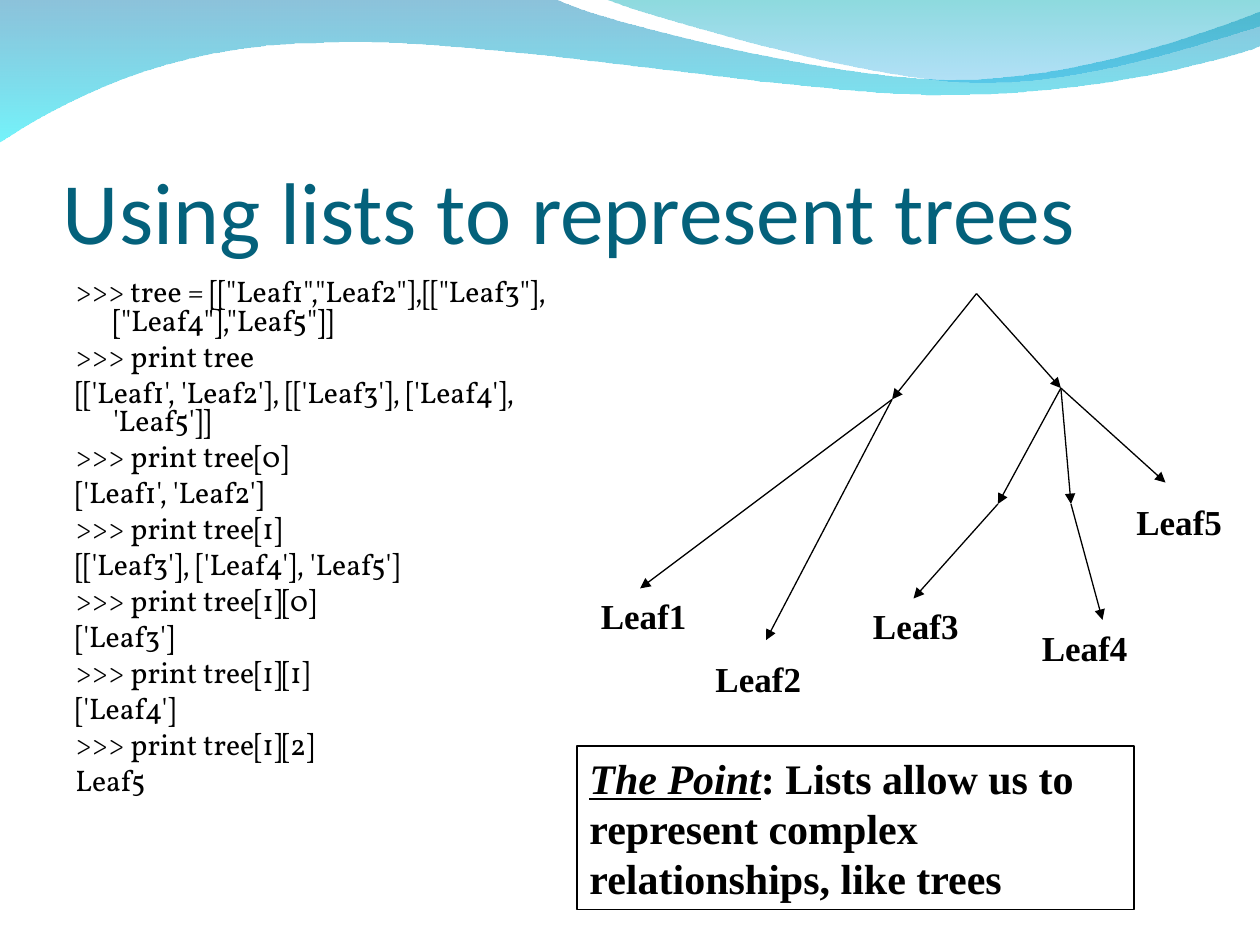
from lxml import etree
from pptx import Presentation
from pptx.dml.color import RGBColor
from pptx.enum.shapes import MSO_CONNECTOR, MSO_SHAPE
from pptx.enum.text import MSO_ANCHOR, PP_ALIGN
from pptx.oxml.ns import qn
from pptx.util import Inches, Pt

STRAIGHT = MSO_CONNECTOR.STRAIGHT
RECTANGLE = MSO_SHAPE.RECTANGLE
TOP, BOTTOM = MSO_ANCHOR.TOP, MSO_ANCHOR.BOTTOM
LEFT = PP_ALIGN.LEFT
COLORS = {
    "title": "04617B",
    "ink": "000000",
    "wave_blue": "0079AF",
    "wave_cyan": "00EBF8",
    "crest_teal": "00ADB6",
    "crest_blue": "009BE5",
}


def color(name):
    return RGBColor.from_string(COLORS[name])


def add_span(para, text, font, size, ink="ink", bold=False):
    span = para.add_run()
    span.text = text
    span.font.name = font
    span.font.size = Pt(size)
    span.font.bold = bold
    span.font.color.rgb = color(ink)
    return span


deck = Presentation()
deck.slide_width, deck.slide_height = Inches(10), Inches(7.5)
page = deck.slides.add_slide(deck.slide_layouts[6])

waves = [
    ([[(0, -0.01)],
      [(4.4, -0.01)],
      [(4.76, 0.17), (6.64, 0.63), (7.58, 0.63)],
      [(8.53, 0.63), (9.58, 0.26), (10, 0.09)],
      [(10.01, 0.36)],
      [(9.83, 0.44), (8.7, 0.76), (7.46, 0.75)],
      [(6.22, 0.75), (3.82, 0.28), (2.57, 0.34)],
      [(1.29, 0.35), (0.46, 0.83), (-0.01, 1.13)]],
     [("wave_blue", 45), ("wave_cyan", 55)]),
    ([[(4.79, -0.01)],
      [(5.09, 0.11), (6.82, 0.62), (7.69, 0.65)],
      [(8.56, 0.69), (9.61, 0.32), (10, 0.21)],
      [(10, 0)]],
     [("crest_teal", 45), ("crest_blue", 30)]),
]
for segments, shades in waves:
    points = [(Inches(x), Inches(y)) for segment in segments for x, y in segment]
    builder = page.shapes.build_freeform(*points[0])
    builder.add_line_segments(points[1:], close=True)
    wave = builder.convert_to_shape()
    lines = iter(list(wave.element.spPr.iter(qn("a:lnTo"))))
    for segment in segments[1:]:
        steps = [next(lines) for point in segment]
        if len(steps) == 3:
            curve = etree.Element(qn("a:cubicBezTo"))
            steps[0].addprevious(curve)
            for step in steps:
                curve.append(step[0])
                step.getparent().remove(step)
    wave.shadow.inherit = False
    wave.line.fill.background()
    wave.fill.gradient()
    wave.fill.gradient_angle = 270
    for stop, (shade, opacity) in zip(wave.fill.gradient_stops, shades):
        stop.color.rgb = color(shade)
    for tint, (shade, opacity) in zip(wave.element.spPr.iter(qn("a:srgbClr")), shades):
        etree.SubElement(tint, qn("a:alpha"), val=str(opacity * 1000))

title_box = page.shapes.add_textbox(Inches(0.5), Inches(0.83), Inches(9), Inches(1.25))
title = title_box.text_frame
title.word_wrap = True
title.vertical_anchor = BOTTOM
title.margin_left = title.margin_right = title.margin_bottom = 0
add_span(title.paragraphs[0], "Using lists to represent trees", "Calibri", 50, "title")

session = [
    '>>> tree = [["Leaf1","Leaf2"],[["Leaf3"],["Leaf4"],"Leaf5"]]',
    ">>> print tree",
    "[['Leaf1', 'Leaf2'], [['Leaf3'], ['Leaf4'], 'Leaf5']]",
    ">>> print tree[0]",
    "['Leaf1', 'Leaf2']",
    ">>> print tree[1]",
    "[['Leaf3'], ['Leaf4'], 'Leaf5']",
    ">>> print tree[1][0]",
    "['Leaf3']",
    ">>> print tree[1][1]",
    "['Leaf4']",
    ">>> print tree[1][2]",
    "Leaf5",
]
session_box = page.shapes.add_textbox(Inches(0.5), Inches(2.17), Inches(4.5), Inches(4.92))
session_frame = session_box.text_frame
session_frame.word_wrap = True
for index, line in enumerate(session):
    para = session_frame.add_paragraph() if index else session_frame.paragraphs[0]
    para.line_spacing = 0.8
    if index:
        para.space_before = Pt(4.25)
    properties = para._p.get_or_add_pPr()
    properties.set("marL", str(Inches(0.3)))
    properties.set("indent", str(Inches(-0.3)))
    add_span(para, line, "Vollkorn", 17)

root, left_node, right_node = (7.75, 2.33), (7.08, 3.17), (8.42, 3.08)
leaf3_node, leaf4_node = (7.92, 4), (8.5, 4)
branches = [
    (root, left_node), (root, right_node),
    (right_node, leaf3_node), (right_node, leaf4_node), (right_node, (9.25, 3.83)),
    (left_node, (5.08, 4.67)), (left_node, (6.08, 5.08)),
    (leaf3_node, (7.25, 4.75)), (leaf4_node, (8.75, 4.92)),
]
for start, end in branches:
    branch = page.shapes.add_connector(STRAIGHT, *map(Inches, start + end))
    branch.line.color.rgb = color("ink")
    branch.line.width = Pt(0.75)
    etree.SubElement(branch.line._get_or_add_ln(), qn("a:tailEnd"), type="triangle")
    etree.SubElement(branch._element.spPr, qn("a:effectLst"))

leaf_corners = [(4.67, 4.67), (5.58, 5.17), (6.83, 4.75), (8.17, 4.92), (8.92, 3.92)]
for number, (x, y) in enumerate(leaf_corners, 1):
    leaf_box = page.shapes.add_textbox(Inches(x), Inches(y), Inches(0.88), Inches(0.44))
    leaf_box.text_frame.word_wrap = False
    add_span(leaf_box.text_frame.paragraphs[0], f"Leaf{number}", "Times New Roman", 20, bold=True)

point_box = page.shapes.add_shape(RECTANGLE, Inches(4.58), Inches(5.92), Inches(4.42), Inches(1.3))
point_box.shadow.inherit = False
point_box.fill.background()
point_box.line.color.rgb = color("ink")
point_box.line.width = Pt(0.75)
point = point_box.text_frame
point.word_wrap = True
point.vertical_anchor = TOP
para = point.paragraphs[0]
para.alignment = LEFT
lead = add_span(para, "The Point", "Times New Roman", 24, bold=True)
lead.font.italic = lead.font.underline = True
add_span(para, ": Lists allow us to represent complex relationships, like trees",
         "Times New Roman", 24, bold=True)

deck.save("out.pptx")
